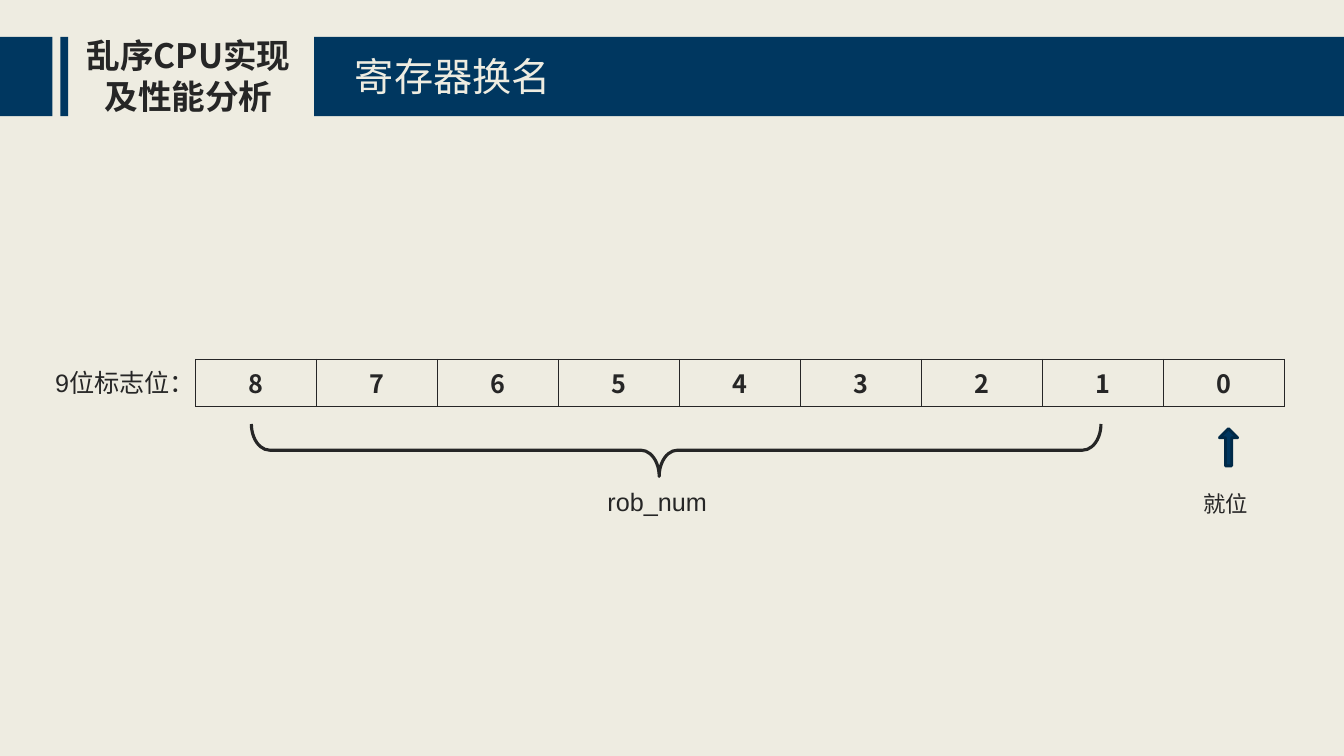
from dataclasses import dataclass

from lxml.etree import SubElement
from pptx import Presentation
from pptx.dml.color import RGBColor
from pptx.enum.shapes import MSO_SHAPE as Preset
from pptx.enum.text import MSO_ANCHOR as Anchor, MSO_AUTO_SIZE as AutoSize, PP_ALIGN as Align
from pptx.oxml import parse_xml
from pptx.oxml.ns import nsdecls, qn
from pptx.util import Cm, Pt

COLORS = {"paper": "EEECE1", "navy": "003760", "navy_edge": "002947", "ink": "262626"}
LATIN, CJK = "Arial", "Noto Sans CJK SC"
FLAG_BITS = 9
BAR_TOP, BAR_HEIGHT = 0.93, 2.0
TABLE_LEFT, TABLE_TOP, BIT_WIDTH, BIT_HEIGHT = 4.93, 9.06, 3.05, 1.02


@dataclass
class Box:
    left: float
    top: float
    width: float
    height: float

    def lengths(self) -> tuple:
        return Cm(self.left), Cm(self.top), Cm(self.width), Cm(self.height)


@dataclass
class Label:
    text: str
    box: Box
    size: int = 18
    font: str = LATIN
    bold: bool = False
    align: Align = Align.LEFT
    wrap: bool = True


def color(name: str) -> RGBColor:
    return RGBColor.from_string(COLORS[name])


def add_run(paragraph, text: str, size: int, font: str, ink: str = "ink", bold: bool = False) -> None:
    run = paragraph.add_run()
    run.text = text
    run.font.size, run.font.name, run.font.bold = Pt(size), font, bold
    run.font.color.rgb = color(ink)
    SubElement(run.font._element, qn("a:ea"), typeface=CJK)


def write_label(shape, label: Label, ink: str = "ink") -> None:
    frame = shape.text_frame
    frame.word_wrap = label.wrap
    frame.auto_size = AutoSize.NONE
    frame.vertical_anchor = Anchor.TOP
    paragraph = frame.paragraphs[0]
    paragraph.alignment = label.align
    add_run(paragraph, label.text, label.size, label.font, ink, label.bold)


def add_preset(slide, preset: Preset, box: Box, fill: str = "", line: str = "",
               weight: float = 0, rotation: int = 0, adjustments: tuple = ()):
    shape = slide.shapes.add_shape(preset, *box.lengths())
    shape.shadow.inherit = False
    shape.rotation = rotation
    for index, value in enumerate(adjustments):
        shape.adjustments[index] = value
    if fill:
        shape.fill.solid()
        shape.fill.fore_color.rgb = color(fill)
    else:
        shape.fill.background()
    if line:
        shape.line.color.rgb = color(line)
        shape.line.width = Pt(weight)
    else:
        shape.line.fill.background()
    return shape


def set_borders(cell, name: str, weight: float) -> None:
    properties = cell._tc.get_or_add_tcPr()
    for index, side in enumerate("LRTB"):
        properties.insert(index, parse_xml(
            f'<a:ln{side} {nsdecls("a")} w="{Pt(weight)}"><a:solidFill>'
            f'<a:srgbClr val="{COLORS[name]}"/></a:solidFill></a:ln{side}>'))


presentation = Presentation()
presentation.slide_width, presentation.slide_height = Cm(33.87), Cm(19.05)
slide = presentation.slides.add_slide(presentation.slide_layouts[5])
slide.background.fill.solid()
slide.background.fill.fore_color.rgb = color("paper")

# Header bars
for left, width in ((0, 1.32), (1.52, 0.2), (7.92, 25.95)):
    add_preset(slide, Preset.RECTANGLE, Box(left, BAR_TOP, width, BAR_HEIGHT), fill="navy")

# Title, brought in front of the bars
heading = Label("寄存器换名", Box(8.69, 1.19, 12.65, 1.45), size=28)
title = slide.shapes.title
title.left, title.top, title.width, title.height = heading.box.lengths()
write_label(title, heading, "paper")
slide.shapes._spTree.append(title._element)

# Flag bits, highest first
table_box = Box(TABLE_LEFT, TABLE_TOP, FLAG_BITS * BIT_WIDTH, BIT_HEIGHT)
table = slide.shapes.add_table(1, FLAG_BITS, *table_box.lengths()).table
table.first_row = table.horz_banding = False
for column, bit in enumerate(reversed(range(FLAG_BITS))):
    table.columns[column].width = Cm(BIT_WIDTH)
    cell = table.cell(0, column)
    cell.fill.background()
    set_borders(cell, "ink", 1)
    paragraph = cell.text_frame.paragraphs[0]
    paragraph.alignment = Align.CENTER
    add_run(paragraph, str(bit), 18, CJK, bold=True)

# Pointers to the bits
add_preset(slide, Preset.DOWN_ARROW, Box(30.73, 10.8, 0.46, 0.94), fill="navy",
           line="navy_edge", weight=2, rotation=180, adjustments=(0.34, 0.5))
add_preset(slide, Preset.RIGHT_BRACE, Box(16.38, 0.64, 1.32, 21.41), line="ink",
           weight=2.25, rotation=90, adjustments=(0.35, 0.52))

# Labels
for label in (
    Label("乱序CPU实现及性能分析", Box(1.6, 0.76, 6.3, 2.31), 24, CJK, True, Align.CENTER),
    Label("9位标志位：", Box(1.14, 9.12, 3.81, 1.02)),
    Label("就位", Box(30.07, 12.22, 1.65, 0.94), size=16, wrap=False),
    Label("rob_num", Box(15.06, 12.14, 3.4, 1.02)),
):
    write_label(slide.shapes.add_textbox(*label.box.lengths()), label)

presentation.save("out.pptx")
